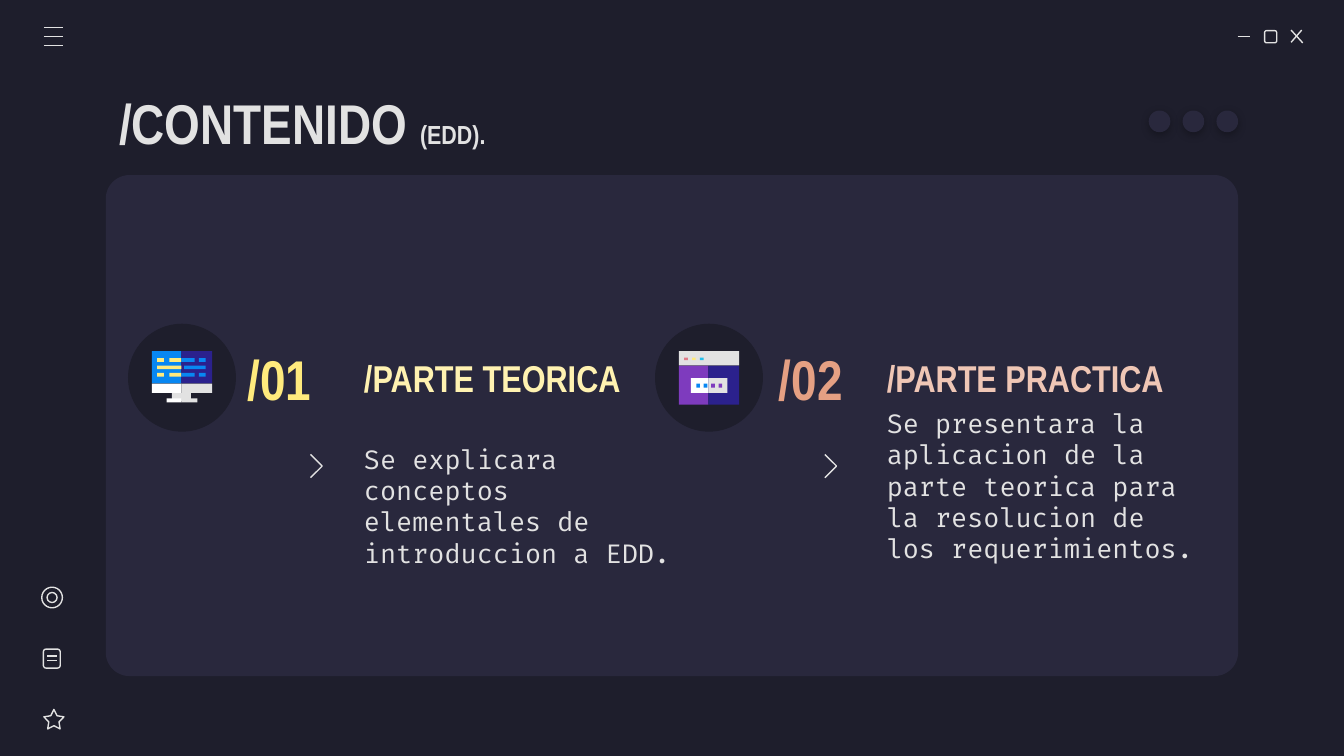
from dataclasses import dataclass

from lxml import etree
from pptx import Presentation
from pptx.dml.color import RGBColor
from pptx.enum.shapes import MSO_CONNECTOR, MSO_SHAPE
from pptx.enum.text import MSO_ANCHOR, PP_ALIGN
from pptx.oxml import parse_xml
from pptx.oxml.ns import nsdecls, qn
from pptx.util import Cm, Pt

RECT = MSO_SHAPE.RECTANGLE
ROUND = MSO_SHAPE.ROUNDED_RECTANGLE
OVAL = MSO_SHAPE.OVAL
STAR = MSO_SHAPE.STAR_5_POINT
STRAIGHT = MSO_CONNECTOR.STRAIGHT
MIDDLE = MSO_ANCHOR.MIDDLE
LEFT, CENTER = PP_ALIGN.LEFT, PP_ALIGN.CENTER


@dataclass(frozen=True)
class Theme:
    back: str = "1E1E2C"
    panel: str = "29283D"
    light: str = "E2E2E2"
    white: str = "FFFFFF"
    yellow: str = "FFEA7D"
    pale_yellow: str = "FFF2B1"
    orange: str = "E5A083"
    pale_orange: str = "EFC6B5"
    blue: str = "0887F2"
    indigo: str = "2B218D"
    purple: str = "7E3BBE"
    pink: str = "E07A88"
    cyan: str = "24BFEB"
    head_font: str = "Arial Narrow"
    body_font: str = "Fira Code"
    big: int = 30
    medium: int = 20
    small: int = 14
    stroke: float = 0.75


class Deck:
    """Draws on the current slide; all lengths are in centimetres."""

    def __init__(self, prs, theme):
        self.theme = theme
        self.s = prs.slides.add_slide(prs.slide_layouts[6])
        fill = self.s.background.fill
        fill.solid()
        fill.fore_color.rgb = RGBColor.from_string(theme.back)

    def paint(self, sp, fill=None):
        """Fill the shape, or outline it when no fill is given."""
        sp.shadow.inherit = False
        if fill:
            sp.fill.solid()
            sp.fill.fore_color.rgb = RGBColor.from_string(fill)
            sp.line.fill.background()
        else:
            sp.fill.background()
            self.stroke(sp)
        return sp

    def stroke(self, sp):
        sp.line.color.rgb = RGBColor.from_string(self.theme.light)
        sp.line.width = Pt(self.theme.stroke)

    def shape(self, kind, x, y, w, h, fill=None, adj=None):
        sp = self.s.shapes.add_shape(kind, Cm(x), Cm(y), Cm(w), Cm(h))
        if adj is not None:
            sp.adjustments[0] = adj
        return self.paint(sp, fill)

    def line(self, x1, y1, x2, y2):
        sp = self.s.shapes.add_connector(STRAIGHT, Cm(x1), Cm(y1), Cm(x2), Cm(y2))
        self.stroke(sp)
        etree.SubElement(sp._element.spPr, qn("a:effectLst"))

    def chevron(self, x, y, w=0.22, h=0.44):
        fb = self.s.shapes.build_freeform(Cm(x), Cm(y), scale=1.0)
        fb.add_line_segments([(Cm(x + w), Cm(y + h / 2)), (Cm(x), Cm(y + h))], close=False)
        self.paint(fb.convert_to_shape())

    def shadow_dot(self, x, y, d):
        sp = self.shape(OVAL, x, y, d, d, self.theme.panel)
        effects = sp._element.spPr.find(qn("a:effectLst"))
        effects.append(parse_xml(
            f'<a:outerShdw {nsdecls("a")} blurRad="57150" dist="19050" dir="5400000" '
            'algn="bl" rotWithShape="0"><a:srgbClr val="000000"><a:alpha val="30000"/>'
            '</a:srgbClr></a:outerShdw>'))

    def text(self, x, y, w, h, runs, color, font, bold=True, align=LEFT):
        """Each run is a pair of text and size."""
        tf = self.s.shapes.add_textbox(Cm(x), Cm(y), Cm(w), Cm(h)).text_frame
        frame = {"word_wrap": True, "vertical_anchor": MIDDLE}
        frame.update({f"margin_{side}": Cm(0.25) for side in ("left", "top", "right", "bottom")})
        for name, value in frame.items():
            setattr(tf, name, value)
        p = tf.paragraphs[0]
        p.alignment = align
        for words, size in runs:
            r = p.add_run()
            r.text = words
            for name, value in {"name": font, "size": Pt(size), "bold": bold}.items():
                setattr(r.font, name, value)
            r.font.color.rgb = RGBColor.from_string(color)

    def icon(self, x, y, blocks):
        """Blocks are left, top, width, height and colour, relative to x, y."""
        for left, top, w, h, color in blocks:
            self.shape(RECT, x + left, y + top, w, h, color)


def monitor_blocks(t):
    blocks = [
        (0, 0, 0.56, 0.61, t.blue), (0.56, 0, 0.58, 0.61, t.indigo),
        (0.38, 0.79, 0.36, 0.15, t.light),
        (0.28, 0.89, 0.28, 0.08, t.white), (0.56, 0.89, 0.3, 0.08, t.light),
        (0, 0.61, 0.56, 0.18, t.white), (0.56, 0.61, 0.58, 0.18, t.light),
        (0.1, 0.27, 0.46, 0.07, t.yellow), (0.61, 0.27, 0.41, 0.07, t.blue),
    ]
    for top in (0.13, 0.41):
        blocks += [(left, top, w, 0.07, color) for left, w, color in (
            (0.1, 0.13, t.yellow), (0.33, 0.23, t.yellow),
            (0.56, 0.25, t.blue), (0.89, 0.13, t.blue))]
    return blocks


def window_blocks(t):
    blocks = [
        (0, 0.27, 0.56, 0.74, t.purple), (0.56, 0.27, 0.58, 0.74, t.indigo),
        (0, 0, 1.14, 0.27, t.light),
        (0.23, 0.51, 0.33, 0.28, t.white), (0.56, 0.51, 0.36, 0.28, t.light),
    ]
    blocks += [(0.1 + 0.15 * i, 0.12, 0.07, 0.05, color)
               for i, color in enumerate((t.pink, t.yellow, t.cyan))]
    blocks += [(0.33 + 0.14 * i, 0.61, 0.07, 0.08, color)
               for i, color in enumerate((t.blue, t.blue, t.purple, t.purple))]
    return blocks


def main():
    prs = Presentation()
    prs.slide_width, prs.slide_height = Cm(25.4), Cm(14.29)
    t = Theme()
    deck = Deck(prs, t)

    # Panel and heading
    deck.shape(ROUND, 2, 3.31, 21.4, 9.47, t.panel, 0.047)
    deck.text(2, 1.5, 21.4, 1.6, [("/CONTENIDO ", t.big), ("(EDD).", t.small)],
              t.light, t.head_font)
    for i in range(3):
        deck.shadow_dot(21.71 + 0.64 * i, 2.09, 0.41)

    # Window buttons
    deck.line(23.39, 0.69, 23.63, 0.69)
    deck.shape(ROUND, 23.9, 0.58, 0.23, 0.23)
    deck.line(24.4, 0.57, 24.62, 0.81)
    deck.line(24.6, 0.57, 24.4, 0.8)

    # Menu lines
    for i in range(3):
        deck.line(0.83, 0.52 + 0.17 * i, 1.2, 0.52 + 0.17 * i)

    # Side icons: target, note, star
    for x, y, d in ((0.79, 11.1, 0.39), (0.89, 11.2, 0.19)):
        deck.shape(OVAL, x, y, d, d)
    deck.shape(ROUND, 0.82, 12.27, 0.32, 0.36)
    for y in (12.4, 12.49):
        deck.line(0.89, y, 1.07, y)
    deck.shape(STAR, 0.83, 13.41, 0.38, 0.37, adj=0.254)

    # Sections: circle, number, title, body and chevron share one pattern
    sections = (
        (2.42, 4.13, 6.63, 5.87, 8.61, "/01", t.yellow, "/PARTE TEORICA", t.pale_yellow,
         "Se explicara conceptos elementales de introduccion a EDD.", monitor_blocks(t)),
        (12.38, 14.17, 16.51, 15.59, 8.23, "/02", t.orange, "/PARTE PRACTICA", t.pale_orange,
         "Se presentara la aplicacion de la parte teorica para la resolucion de los "
         "requerimientos.", window_blocks(t)),
    )
    for (circle_x, number_x, text_x, chevron_x, body_y, number, number_color,
         title, title_color, body, blocks) in sections:
        deck.shape(OVAL, circle_x, 6.12, 2.04, 2.04, t.back)
        deck.icon(circle_x + 0.45, 6.64, blocks)
        deck.text(number_x, 6.43, 2.31, 1.42, [(number, t.big)],
                  number_color, t.head_font, align=CENTER)
        deck.text(text_x, 6.43, 6.5, 1.42, [(title, t.medium)], title_color, t.head_font)
        deck.text(text_x, body_y, 6.5, 1.9, [(body, t.small)], t.light, t.body_font, bold=False)
        deck.chevron(chevron_x, 8.59)

    prs.save("out.pptx")


if __name__ == "__main__":
    main()
